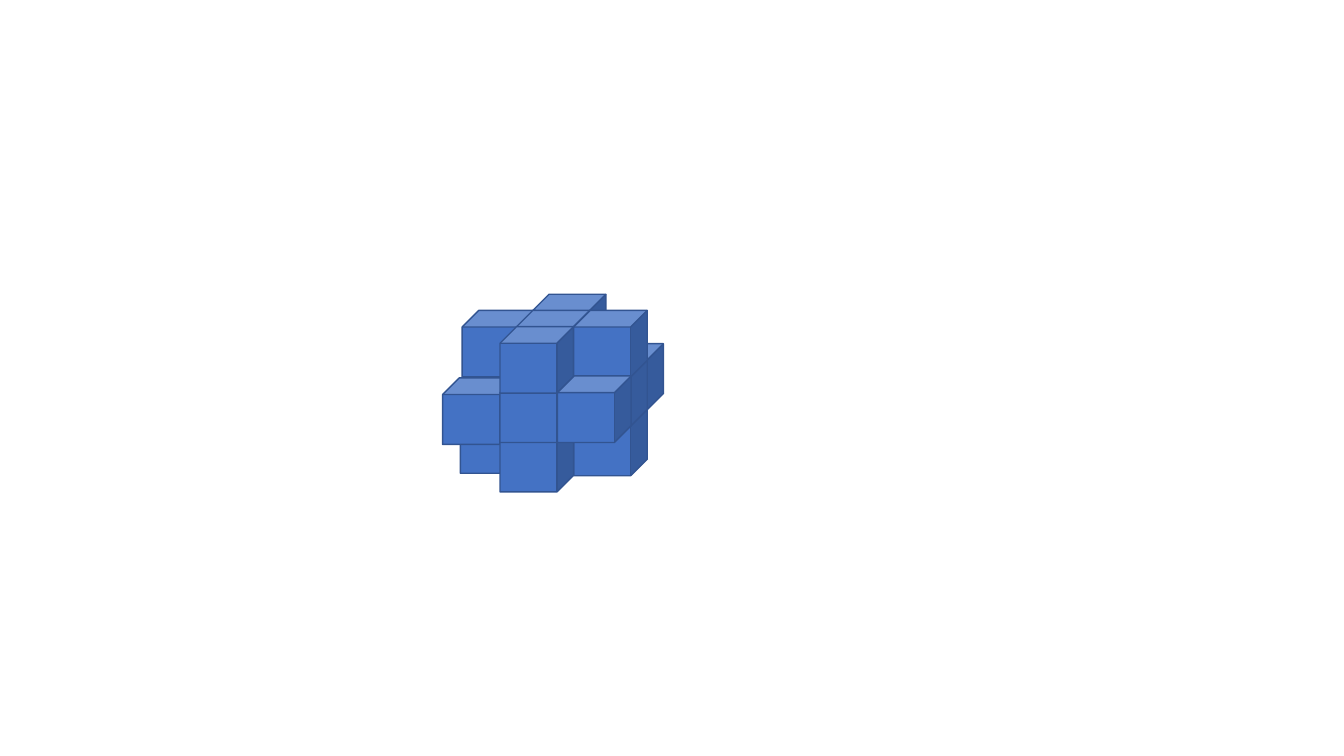
from dataclasses import dataclass

import pptx
import pptx.dml.color
import pptx.enum.shapes
import pptx.util

SLIDE_W, SLIDE_H = 13.33, 7.5
FRONT_LEFT, FRONT_TOP = 4.96, 3.73
COLUMN, ROW, DEPTH = 0.57, 0.49, 0.16
CUBE_W, CUBE_H = 0.73, 0.66
FACE, EDGE = "4472C4", "325491"


@dataclass(frozen=True)
class Cube:
    col: float
    row: float
    depth: int


CUBES = [
    Cube(1, 0, 2),
    Cube(1, 1, 1),
    Cube(1, 0, 1),
    Cube(-0.97, 0.95, 1),
    Cube(-1, 0.04, 0),
    Cube(0, 1, 0),
    Cube(0, 0, 0),
    Cube(0, -1, 2),
    Cube(-0.94, -1, 1),
    Cube(0, -1, 1),
    Cube(0, -1, 0),
    Cube(1, -1, 1),
    Cube(1, 0, 0),
]


def rgb(color: str) -> pptx.dml.color.RGBColor:
    return pptx.dml.color.RGBColor.from_string(color)


def draw_cube(s: pptx.slide.Slide, cube: Cube) -> None:
    left = FRONT_LEFT + cube.col * COLUMN + cube.depth * DEPTH
    top = FRONT_TOP + cube.row * ROW - cube.depth * DEPTH
    sp = s.shapes.add_shape(
        pptx.enum.shapes.MSO_SHAPE.CUBE,
        *(pptx.util.Inches(v) for v in (left, top, CUBE_W, CUBE_H)),
    )
    sp.shadow.inherit = False
    sp.fill.solid()
    sp.fill.fore_color.rgb = rgb(FACE)
    sp.line.color.rgb = rgb(EDGE)
    sp.line.width = pptx.util.Pt(1)


prs = pptx.Presentation()
prs.slide_width = pptx.util.Inches(SLIDE_W)
prs.slide_height = pptx.util.Inches(SLIDE_H)
s = prs.slides.add_slide(prs.slide_layouts[6])
for cube in CUBES:
    draw_cube(s, cube)
prs.save("out.pptx")
